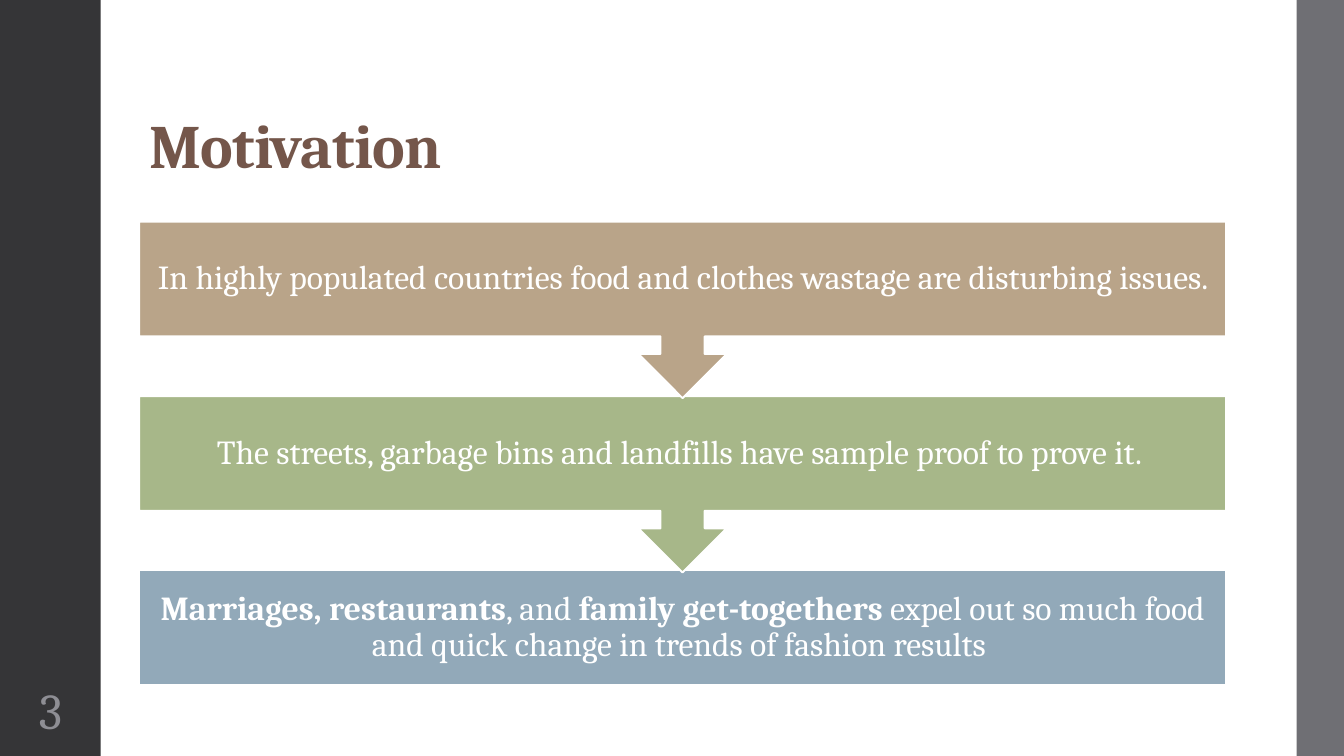
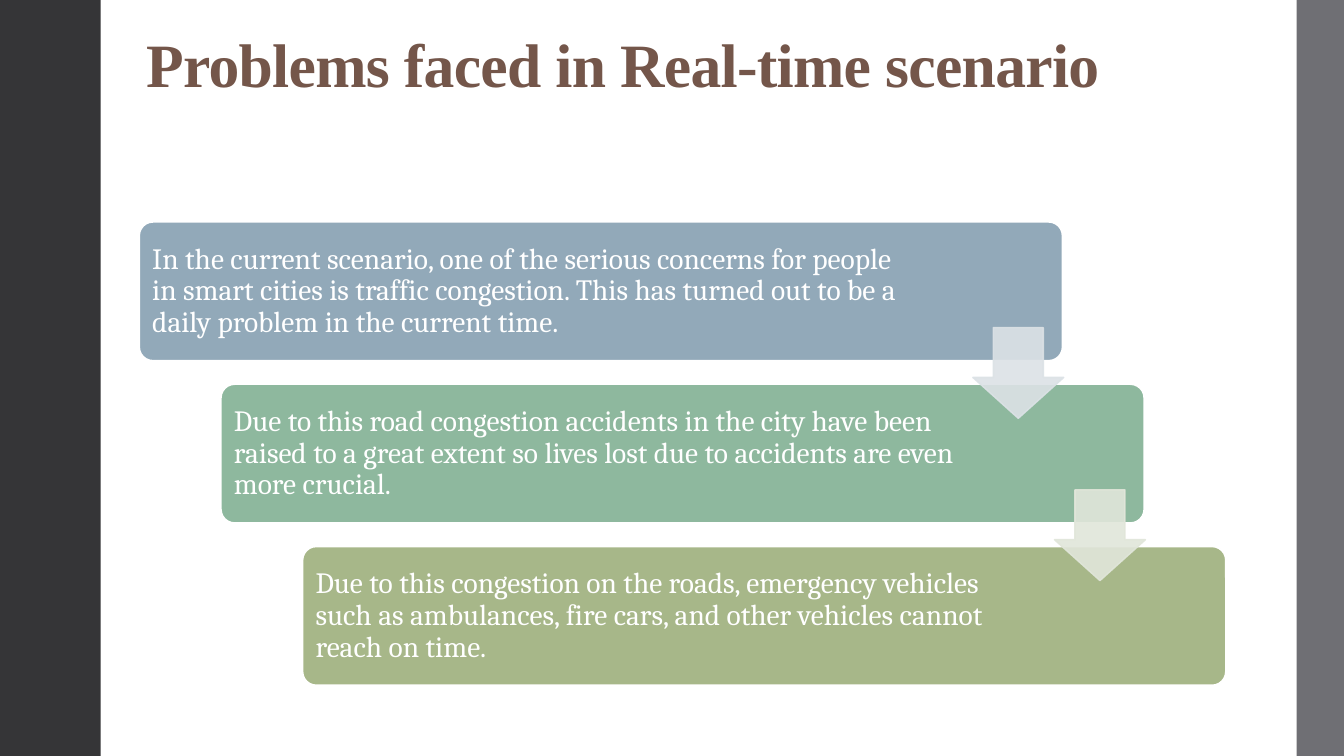
from dataclasses import dataclass

from lxml import etree
from pptx import Presentation
from pptx.dml.color import RGBColor
from pptx.enum import shapes, text
from pptx.oxml import ns
from pptx.util import Inches, Pt

# Shared look
WIDTH, HEIGHT = 13.33, 7.5
BODY_FONT = "Cambria"
WHITE, DARK, GREY = "FFFFFF", "353537", "6F6F74"
TITLE_COLOUR, NUMBER_COLOUR = "74564A", "8E8E94"
TAN, OLIVE, GREEN, BLUE = "B9A489", "A7B789", "8EB89E", "92A9B9"
LEFT, TOP = 1.38, 2.2

Preset = shapes.MSO_SHAPE
Align = text.PP_ALIGN
Anchor = text.MSO_ANCHOR


@dataclass
class Run:
    words: str
    bold: bool = False


@dataclass
class Box:
    left: float
    top: float
    width: float
    height: float


@dataclass
class Stage:
    colour: str
    runs: list[Run]


@dataclass
class Step:
    colour: str
    words: str
    right_inset: float


def colour_of(value: str) -> RGBColor:
    return RGBColor.from_string(value)


def add_shape(slide, preset, box: Box, fill: str, line: str | None = None,
              line_width: float = 1.35):
    shape = slide.shapes.add_shape(preset, Inches(box.left), Inches(box.top),
                                   Inches(box.width), Inches(box.height))
    shape.shadow.inherit = False
    shape.fill.solid()
    shape.fill.fore_color.rgb = colour_of(fill)
    if line:
        shape.line.color.rgb = colour_of(line)
        shape.line.width = Pt(line_width)
    else:
        shape.line.fill.background()
    return shape


def write(shape, runs: list[Run], size: float, colour: str = WHITE,
          font: str = BODY_FONT, align=Align.LEFT, anchor=Anchor.MIDDLE,
          inset: float = 0.05, right_inset: float | None = None,
          spacing: float = 0) -> None:
    frame = shape.text_frame
    frame.word_wrap = True
    frame.vertical_anchor = anchor
    frame.margin_left = frame.margin_right = Inches(inset)
    if right_inset is not None:
        frame.margin_right = Inches(right_inset)
    frame.margin_top = frame.margin_bottom = Inches(0.05)
    paragraph = frame.paragraphs[0]
    paragraph.alignment = align
    paragraph.line_spacing = 0.9
    for item in runs:
        run = paragraph.add_run()
        run.text = item.words
        run.font.name = font
        run.font.size = Pt(size)
        run.font.bold = item.bold
        run.font.color.rgb = colour_of(colour)
        if spacing:
            run.font._element.set("spc", str(int(spacing * 100)))


def add_text(slide, box: Box, runs: list[Run], size: float, **style) -> None:
    shape = slide.shapes.add_textbox(Inches(box.left), Inches(box.top),
                                     Inches(box.width), Inches(box.height))
    write(shape, runs, size, **style)


def set_opacity(shape, percent: int) -> None:
    for colour in shape._element.spPr.iter(ns.qn("a:srgbClr")):
        alpha = etree.SubElement(colour, ns.qn("a:alpha"))
        alpha.set("val", str(percent * 1000))


def add_slide(presentation, title: str, title_box: Box, font: str = BODY_FONT):
    slide = presentation.slides.add_slide(presentation.slide_layouts[6])
    add_shape(slide, Preset.RECTANGLE, Box(0, 0, 1, HEIGHT), DARK)
    add_shape(slide, Preset.RECTANGLE, Box(12.86, 0, WIDTH - 12.86, HEIGHT), GREY)
    add_text(slide, title_box, [Run(title, True)], 44, colour=TITLE_COLOUR,
             font=font, anchor=Anchor.BOTTOM, inset=0.1, spacing=-0.5)
    return slide


# Motivation: callouts stacked from top to bottom
def build_motivation(presentation) -> None:
    slide = add_slide(presentation, "Motivation", Box(LEFT, 0.4, 10.78, 1.45))
    add_text(slide, Box(0, 6.75, 1, 0.65), [Run("3")], 36,
             colour=NUMBER_COLOUR, align=Align.CENTER)
    stages = [
        Stage(TAN, [Run("In highly populated countries food and clothes wastage "
                        "are disturbing issues. ")]),
        Stage(OLIVE, [Run("The streets, garbage bins and landfills have sample "
                          "proof to prove it. ")]),
        Stage(BLUE, [Run("Marriages, restaurants", True), Run(", and "),
                     Run("family get-togethers", True),
                     Run(" expel out so much food and quick change in trends "
                         "of fashion results ")]),
    ]
    # Drawn from the bottom up, so each arrow tip lies over the next box
    for index, stage in reversed(list(enumerate(stages))):
        is_last = index == len(stages) - 1
        preset = Preset.RECTANGLE if is_last else Preset.DOWN_ARROW_CALLOUT
        box = Box(LEFT, TOP + 1.73 * index, 10.78, 1.14 if is_last else 1.75)
        shape = add_shape(slide, preset, box, stage.colour, WHITE)
        write(shape, stage.runs, 24, align=Align.CENTER, inset=0.17)


# Problems: staggered steps joined by pale arrows
def build_problems(presentation) -> None:
    slide = add_slide(presentation, "Problems faced in Real-time scenario",
                      Box(1.35, 0.34, 10.78, 0.71), "Times New Roman")
    steps = [
        Step(BLUE, "In the current scenario, one of the serious concerns for "
             "people in smart cities is traffic congestion. This has turned out "
             "to be a daily problem in the current time.", 1.49),
        Step(GREEN, "Due to this road congestion accidents in the city have been "
             "raised to a great extent so lives lost due to accidents are even "
             "more crucial.", 1.79),
        Step(OLIVE, "Due to this congestion on the roads, emergency vehicles such "
             "as ambulances, fire cars, and other vehicles cannot reach on "
             "time.", 1.79),
    ]
    shift, pitch = 0.81, 1.61
    for index, step in enumerate(steps):
        box = Box(LEFT + shift * index, TOP + pitch * index, 9.16, 1.38)
        shape = add_shape(slide, Preset.ROUNDED_RECTANGLE, box, step.colour, WHITE)
        shape.adjustments[0] = 0.1
        write(shape, [Run(step.words)], 21, inset=0.09,
              right_inset=step.right_inset)
    for index, colour in enumerate(["DCE2E6", "E1E6DA"]):
        box = Box(9.65 + shift * index, 3.25 + pitch * index, 0.9, 0.9)
        arrow = add_shape(slide, Preset.DOWN_ARROW, box, colour, colour, 1.1)
        # The first value is the shaft width, the second the head length
        arrow.adjustments[0] = 0.55
        arrow.adjustments[1] = 0.45
        set_opacity(arrow, 90)


def main() -> None:
    presentation = Presentation()
    presentation.slide_width = Inches(WIDTH)
    presentation.slide_height = Inches(HEIGHT)
    build_motivation(presentation)
    build_problems(presentation)
    presentation.save("out.pptx")


if __name__ == "__main__":
    main()
